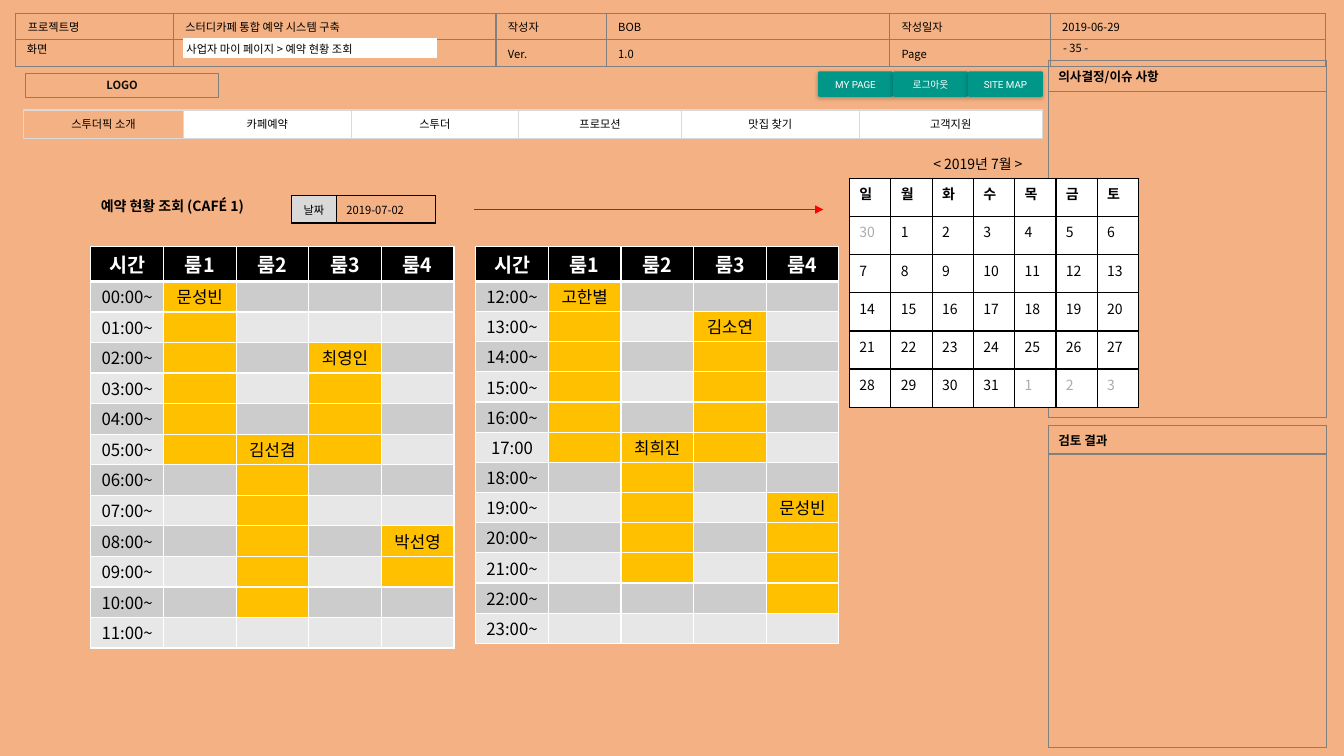
from dataclasses import dataclass
from typing import Any

from lxml import etree
from pptx import Presentation
from pptx import util as u
from pptx.dml.color import RGBColor
from pptx.enum import shapes, text
from pptx.oxml import ns

PEACH = RGBColor(0xF4, 0xB1, 0x83)
BLACK = RGBColor(0x00, 0x00, 0x00)
INK = RGBColor(0x0D, 0x0D, 0x0D)
WHITE = RGBColor(0xFF, 0xFF, 0xFF)
GRAY = RGBColor(0x80, 0x80, 0x80)
PALE = RGBColor(0xD9, 0xD9, 0xD9)
MUTED = RGBColor(0xAF, 0xAB, 0xAB)
DARK_BAND = RGBColor(0xCC, 0xCC, 0xCC)
LIGHT_BAND = RGBColor(0xE7, 0xE7, 0xE7)
BOOKED = RGBColor(0xFF, 0xC0, 0x00)
TEAL = RGBColor(0x00, 0x96, 0x88)
RED = RGBColor(0xFF, 0x00, 0x00)
KOREAN = "Noto Sans CJK KR"
LEFT, CENTER = text.PP_ALIGN.LEFT, text.PP_ALIGN.CENTER
TOP, MIDDLE = text.MSO_ANCHOR.TOP, text.MSO_ANCHOR.MIDDLE


@dataclass(frozen=True)
class Style:
    size: float = 8
    bold: bool = False
    color: RGBColor = BLACK
    font: str = KOREAN
    align: Any = LEFT


@dataclass(frozen=True)
class Entry:
    words: str = ""
    style: Style = Style()
    fill: RGBColor | None = None
    bottom: float = 1


@dataclass(frozen=True)
class Grid:
    left: float
    top: float
    widths: list[float]
    heights: list[float]
    entries: list[list[Entry]]
    border: RGBColor
    anchor: Any = TOP
    inset_x: float = 0.25
    inset_y: float = 0.13


@dataclass(frozen=True)
class Box:
    left: float
    top: float
    width: float
    height: float
    words: str = ""
    style: Style = Style()
    preset: Any = None
    fill: RGBColor | None = None
    line: RGBColor | None = None
    line_width: float = 0.75
    wrap: bool = True
    inset_x: float = 0.25
    raised: bool = False


@dataclass(frozen=True)
class Booking:
    room: int
    start: int
    hours: int
    guest: str


def apply(target: Any, values: dict[str, Any]) -> None:
    for name, value in values.items():
        setattr(target, name, value)


def write(paragraph: Any, words: str, style: Style) -> None:
    paragraph.alignment = style.align
    if not words:
        etree.SubElement(paragraph._p, ns.qn("a:endParaRPr"), sz=str(int(style.size * 100)))
        return
    run = paragraph.add_run()
    run.text = words
    apply(run.font, {"size": u.Pt(style.size), "bold": style.bold, "name": style.font})
    run.font.color.rgb = style.color
    etree.SubElement(run.font._element, ns.qn("a:ea"), typeface=style.font)


def paint(fill: Any, color: RGBColor | None) -> None:
    if color is None:
        fill.background()
    else:
        fill.solid()
        fill.fore_color.rgb = color


def draw_grid(slide: Any, grid: Grid) -> None:
    table = slide.shapes.add_table(
        len(grid.heights), len(grid.widths), u.Cm(grid.left), u.Cm(grid.top),
        u.Cm(sum(grid.widths)), u.Cm(sum(grid.heights))).table
    apply(table, {"first_row": False, "horz_banding": False})
    for column, width in zip(table.columns, grid.widths):
        column.width = u.Cm(width)
    for row, height in zip(table.rows, grid.heights):
        row.height = u.Cm(height)
    x, y = u.Cm(grid.inset_x), u.Cm(grid.inset_y)
    for r, entries in enumerate(grid.entries):
        for c, entry in enumerate(entries):
            cell = table.cell(r, c)
            apply(cell, {"margin_left": x, "margin_right": x, "margin_top": y,
                         "margin_bottom": y, "vertical_anchor": grid.anchor})
            for side in "LRTB":
                width = entry.bottom if side == "B" else 1
                edge = etree.SubElement(cell._tc.tcPr, ns.qn(f"a:ln{side}"), w=str(u.Pt(width)))
                solid = etree.SubElement(edge, ns.qn("a:solidFill"))
                etree.SubElement(solid, ns.qn("a:srgbClr"), val=str(grid.border))
            paint(cell.fill, entry.fill)
            write(cell.text_frame.paragraphs[0], entry.words, entry.style)


def draw_box(slide: Any, box: Box) -> None:
    place = [u.Cm(v) for v in (box.left, box.top, box.width, box.height)]
    if box.preset is None:
        shape = slide.shapes.add_textbox(*place)
    else:
        shape = slide.shapes.add_shape(box.preset, *place)
        shape.shadow.inherit = False
        paint(shape.fill, box.fill)
        paint(shape.line.fill, box.line)
        if box.line is not None:
            shape.line.width = u.Pt(box.line_width)
    if box.raised:
        shape.adjustments[0] = 0.05
        effects = shape._element.spPr.find(ns.qn("a:effectLst"))
        shadow = etree.SubElement(effects, ns.qn("a:outerShdw"), blurRad=str(u.Pt(3)),
                                  dist=str(u.Pt(1)), dir="5400000", rotWithShape="0")
        shade = etree.SubElement(shadow, ns.qn("a:srgbClr"), val=str(BLACK))
        etree.SubElement(shade, ns.qn("a:alpha"), val="25000")
    if box.words:
        apply(shape.text_frame, {
            "word_wrap": box.wrap, "vertical_anchor": MIDDLE,
            "margin_left": u.Cm(box.inset_x), "margin_right": u.Cm(box.inset_x),
            "margin_top": u.Cm(0.13), "margin_bottom": u.Cm(0.13)})
        write(shape.text_frame.paragraphs[0], box.words, box.style)


def schedule(left: float, first_hour: int, row: float, bookings: list[Booking]) -> Grid:
    heading = Style(14, True, WHITE, align=CENTER)
    slot = Style(12, align=CENTER)
    titles = ["시간"] + [f"룸{room}" for room in range(1, 5)]
    rows = [[Entry(title, heading, BLACK, 3) for title in titles]]
    for hour in range(first_hour, first_hour + 12):
        band = LIGHT_BAND if hour % 2 else DARK_BAND
        mark = "" if hour == 17 else "~"
        entries = [Entry(f"{hour:02}:00{mark}", slot, band)] + [Entry("", slot, band)] * 4
        for b in bookings:
            if b.start <= hour < b.start + b.hours:
                entries[b.room] = Entry(b.guest if hour == b.start else "", slot, BOOKED)
        rows.append(entries)
    return Grid(left, 6.22, [1.83] * 5, [0.87] + [row] * 12, rows, WHITE,
                inset_x=0.1, inset_y=0.07)


def calendar() -> Grid:
    rows = [[Entry(day, Style(10, True), WHITE) for day in "일월화수목금토"]]
    days = [30, *range(1, 32), *range(1, 4)]
    dates = [Entry(str(day), Style(10, color=BLACK if 1 <= i <= 31 else MUTED), WHITE)
             for i, day in enumerate(days)]
    rows += [dates[i:i + 7] for i in range(0, len(dates), 7)]
    return Grid(21.41, 4.5, [1.04] * 7, [0.96] * 6, rows, BLACK)


def panel(top: float, title: str, heights: list[float]) -> Grid:
    return Grid(26.42, top, [7.01], heights,
                [[Entry(title, Style(9, True))], [Entry()]], GRAY, MIDDLE)


def main() -> None:
    deck = Presentation()
    apply(deck, {"slide_width": u.Cm(33.87), "slide_height": u.Cm(19.05)})
    slide = deck.slides.add_slide(deck.slide_layouts[6])
    paint(slide.background.fill, PEACH)

    facts = [["프로젝트명", "스터디카페 통합 예약 시스템 구축", "작성자", "BOB", "작성일자", "2019-06-29"],
             ["", "", "Ver.", "1.0", "Page", ""]]
    menu = ["스투더픽 소개", "카페예약", "스투더", "프로모션", "맛집 찾기", "고객지원"]
    centered = Style(align=CENTER)
    rect, rounded = shapes.MSO_SHAPE.RECTANGLE, shapes.MSO_SHAPE.ROUNDED_RECTANGLE
    morning = [Booking(1, 0, 6, "문성빈"), Booking(2, 5, 6, "김선겸"),
               Booking(3, 2, 4, "최영인"), Booking(4, 8, 2, "박선영")]
    afternoon = [Booking(1, 12, 6, "고한별"), Booking(2, 17, 5, "최희진"),
                 Booking(3, 13, 5, "김소연"), Booking(4, 19, 4, "문성빈")]

    for grid in [
        Grid(0.4, 0.33, [3.97, 8.13, 2.78, 7.14, 4.05, 6.93], [0.67] * 2,
             [[Entry(fact) for fact in row] for row in facts], GRAY, inset_x=0.3),
        panel(1.52, "의사결정/이슈 사항", [0.78, 8.22]),
        panel(10.72, "검토 결과", [0.71, 7.39]),
        Grid(0.59, 2.77, [4.04, 4.22, 4.22, 4.11, 4.47, 4.62], [0.71],
             [[Entry(item, centered, WHITE if i else None) for i, item in enumerate(menu)]],
             PALE, MIDDLE, 0.3),
        schedule(2.29, 0, 0.77, morning),
        schedule(11.99, 12, 0.76, afternoon),
        Grid(7.34, 4.93, [1.14, 2.49], [0.69],
             [[Entry("날짜", centered, PALE), Entry("2019-07-02")]], BLACK, MIDDLE),
        calendar(),
    ]:
        draw_grid(slide, grid)

    button = Style(7, color=WHITE, font="Roboto", align=CENTER)
    for box in [
        Box(26.54, 0.91, 2.72, 0.61, "- 35 -"),
        Box(0.64, 1.85, 4.88, 0.61, "LOGO", Style(8, True, INK, align=CENTER), rect, line=GRAY),
        Box(4.62, 0.97, 6.38, 0.48, preset=rect, fill=WHITE, line=WHITE, line_width=1),
        Box(2.29, 4.85, 4.52, 0.69, "예약 현황 조회 (CAFÉ 1)", Style(10, True)),
        Box(23.27, 3.78, 3.56, 0.69, "< 2019년 7월 >", Style(10)),
        Box(4.45, 0.99, 6.65, 0.51, "사업자 마이 페이지 > 예약 현황 조회"),
        Box(0.43, 0.94, 1.04, 0.61, "화면", wrap=False),
        *[Box(20.62 + 1.89 * i, 1.8, 1.88, 0.64, label, button, rounded, TEAL,
              inset_x=0.2, raised=True)
          for i, label in enumerate(["MY PAGE", "로그아웃", "SITE MAP"])],
    ]:
        draw_box(slide, box)

    arrow = slide.shapes.add_connector(shapes.MSO_CONNECTOR.STRAIGHT, u.Cm(11.94), u.Cm(5.28),
                                       u.Cm(20.75), u.Cm(5.28))
    arrow.line.color.rgb = RED
    arrow.line.width = u.Pt(0.5)
    etree.SubElement(arrow.line._get_or_add_ln(), ns.qn("a:tailEnd"), type="triangle")
    etree.SubElement(arrow._element.spPr, ns.qn("a:effectLst"))

    deck.save("out.pptx")


if __name__ == "__main__":
    main()
